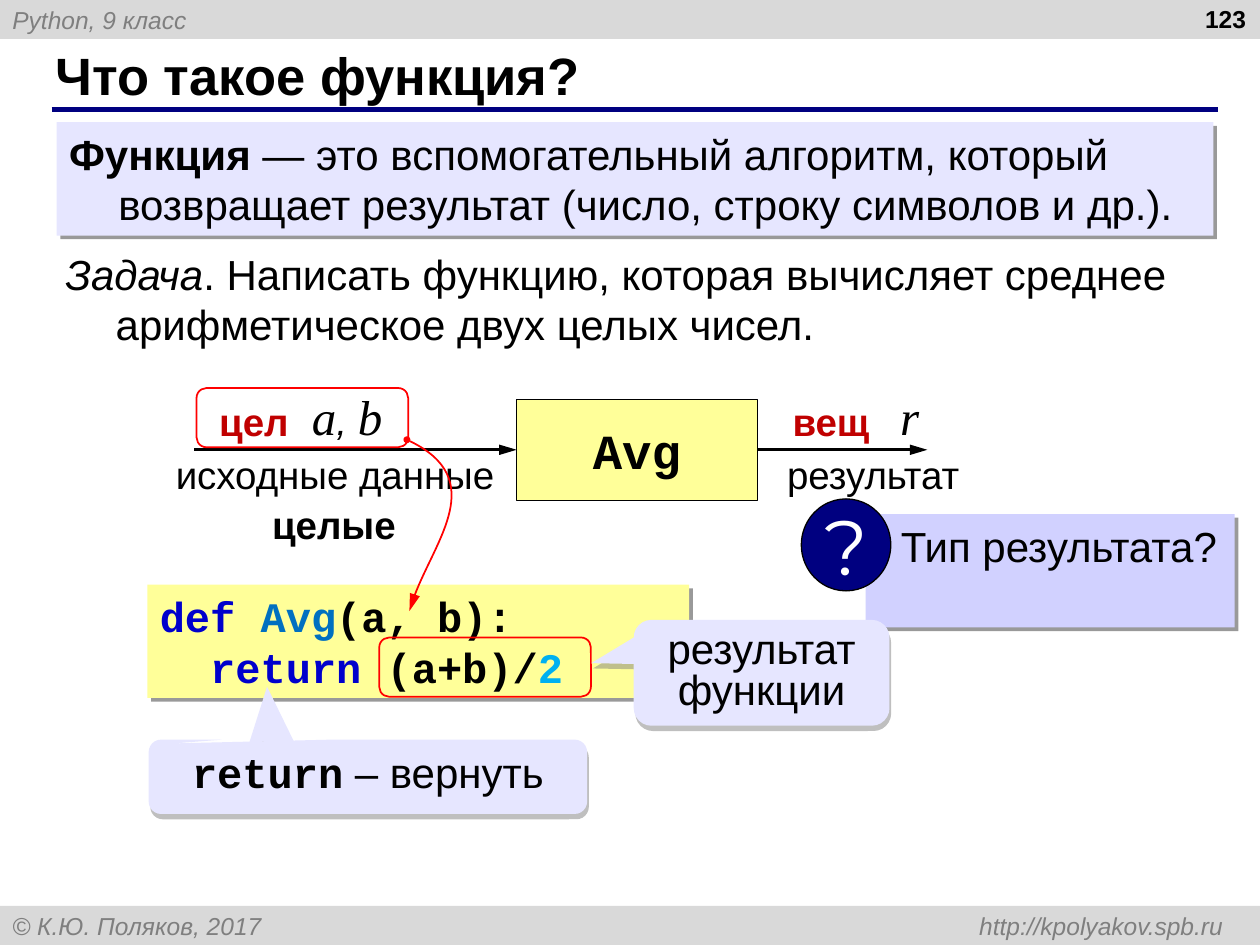
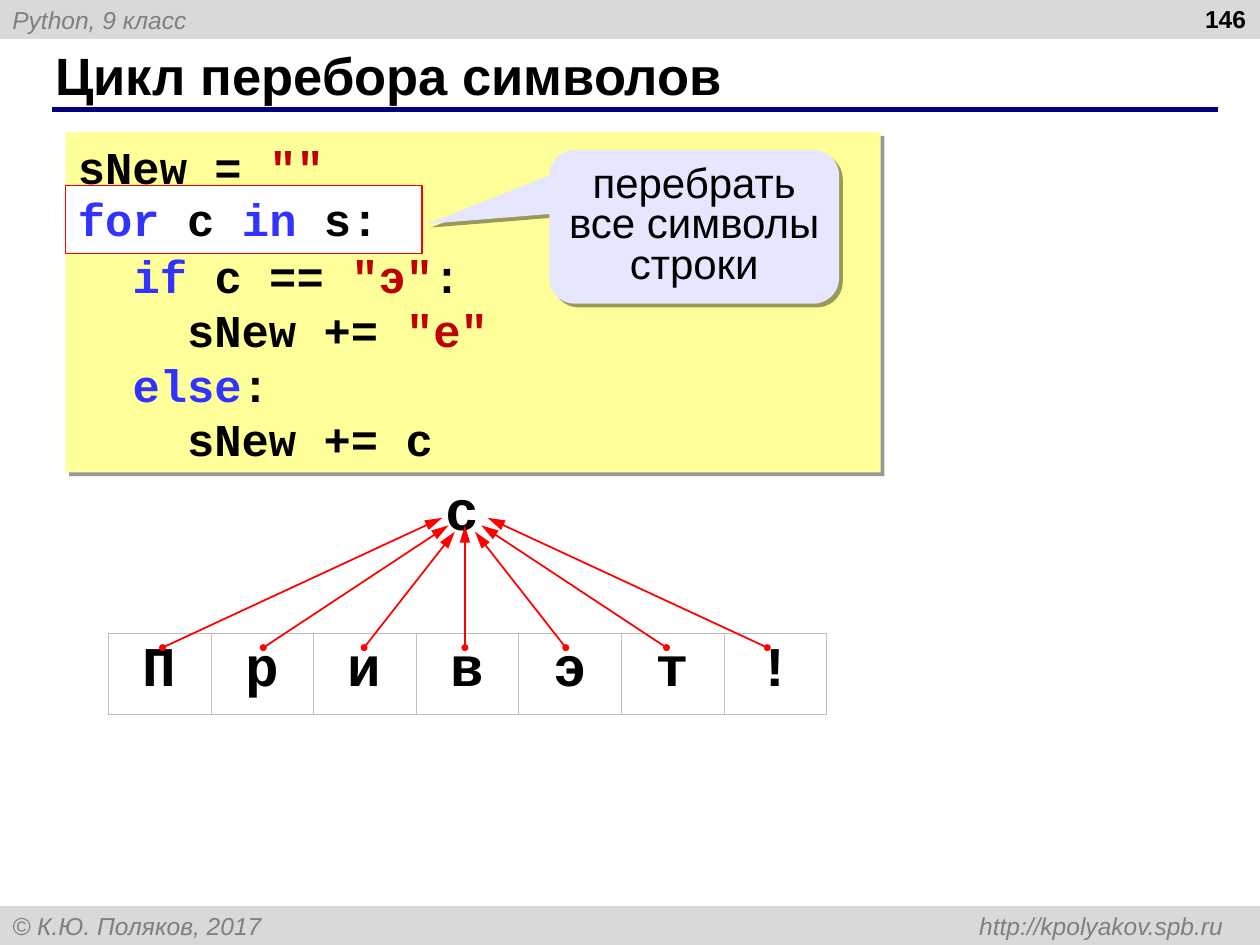
import pptx
import pptx.util
import pptx.dml.color
import pptx.enum.shapes
import pptx.enum.text
import pptx.oxml
import pptx.oxml.ns

PX = 9144  # EMU in one px, 100 px to the inch
SHAPE = pptx.enum.shapes.MSO_SHAPE
ALIGN = pptx.enum.text.PP_ALIGN
ANCHOR = pptx.enum.text.MSO_ANCHOR
SANS, MONO, SERIF = "Arial", "Courier New", "Times New Roman"

COLORS = {
    "black": "000000", "white": "FFFFFF", "band": "D9D9D9", "footer": "7F7F7F",
    "navy": "000080", "lilac": "E6E6FF", "question": "D1D1FF", "code": "FFFF99",
    "red": "FF0000", "type": "C00000", "keyword": "0000CC", "loop": "3333FF",
    "name": "0070C0", "number": "00B0F0", "grid": "BFBFBF", "gray": "808080",
}
# colour, opacity %, distance pt, angle
BOX_SHADOW = ("black", 40, 3, 45)
CALLOUT_SHADOW = ("gray", 50, 3.2, 72)


def emu(*lengths):
    return [pptx.util.Emu(round(n * PX)) for n in lengths]


def rgb(name):
    return pptx.dml.color.RGBColor.from_string(COLORS[name])


def add_xml(parent, xml):
    tag, rest = xml.split(" ", 1)
    ns = pptx.oxml.ns.nsdecls("a")
    el = pptx.oxml.parse_xml(f"<{tag} {ns} {rest}")
    parent.append(el)
    return el


def set_font(font, size=None, name=None, color=None, bold=None, italic=None):
    if size:
        font.size = pptx.util.Pt(size)
    if name:
        font.name = name
    if color:
        font.color.rgb = rgb(color)
    if bold is not None:
        font.bold = bold
    if italic is not None:
        font.italic = italic


class Deck:
    def __init__(self):
        self.prs = pptx.Presentation()
        self.prs.slide_width, self.prs.slide_height = emu(1000, 750)
        self.s = None

    def slide(self, title, number):
        """Start a slide with the bands, title, rule and number all slides share."""
        self.s = self.prs.slides.add_slide(self.prs.slide_layouts[5])
        small = dict(size=14, color="footer", italic=True)
        self.box(0, 0, 1000, 31, "band", ["Python, 9 класс"], **small)
        self.box(0, 719, 1000, 31, "band",
                 ["© К.Ю. Поляков, 2017\thttp://kpolyakov.spb.ru"], tab=961, **small)
        self.line(41, 87, 967, 87, "navy", 3)
        sp = self.s.shapes.title
        sp.left, sp.top, sp.width, sp.height = emu(34, 33, 916, 52)
        self.text(sp.text_frame, [title], size=30, bold=True)
        self.label(766, 3, 223, 30, [number], size=14, bold=True, align=ALIGN.RIGHT)

    def text(self, tf, lines, size=24, name=SANS, color="black", bold=False, italic=False,
             align=ALIGN.LEFT, anchor=ANCHOR.MIDDLE, insets=(10, 5, 10, 5),
             hang=0, tab=0, spacing=None):
        """Fill a frame; a line is a string or a list of strings and (string, font) runs."""
        tf.word_wrap = True
        tf.auto_size = pptx.enum.text.MSO_AUTO_SIZE.NONE
        tf.vertical_anchor = anchor
        tf.margin_left, tf.margin_top, tf.margin_right, tf.margin_bottom = emu(*insets)
        for i, line in enumerate(lines):
            p = tf.paragraphs[0] if i == 0 else tf.add_paragraph()
            p.alignment = align
            if spacing:
                p.line_spacing = spacing
            pPr = p._p.get_or_add_pPr()
            if hang:
                pPr.set("marL", str(hang * PX))
                pPr.set("indent", str(-hang * PX))
            if tab:
                add_xml(pPr, f'a:tabLst ><a:tab pos="{tab * PX}" algn="r"/></a:tabLst>')
            set_font(p.font, size, name, color, bold, italic)
            for run in [line] if isinstance(line, str) else line:
                words, look = (run, {}) if isinstance(run, str) else run
                r = p.add_run()
                r.text = words
                set_font(r.font, **look)

    def style(self, sp, fill=None, line=None, width=1.0, shadow=None):
        sp.shadow.inherit = False
        if fill:
            sp.fill.solid()
            sp.fill.fore_color.rgb = rgb(fill)
        else:
            sp.fill.background()
        if line:
            sp.line.color.rgb = rgb(line)
            sp.line.width = pptx.util.Pt(width)
        else:
            sp.line.fill.background()
        if shadow:
            color, opacity, dist, angle = shadow
            effects = sp._element.spPr.find(pptx.oxml.ns.qn("a:effectLst"))
            add_xml(effects, f'a:outerShdw dist="{round(dist * 12700)}" dir="{angle * 60000}" '
                    f'algn="ctr" rotWithShape="0"><a:srgbClr val="{COLORS[color]}">'
                    f'<a:alpha val="{opacity * 1000}"/></a:srgbClr></a:outerShdw>')

    def box(self, x, y, w, h, fill=None, lines=(), kind=SHAPE.RECTANGLE, adj=(),
            line=None, width=1.0, shadow=None, **look):
        sp = self.s.shapes.add_shape(kind, *emu(x, y, w, h))
        for i, value in enumerate(adj):
            sp.adjustments[i] = value
        self.style(sp, fill, line, width, shadow)
        if lines:
            self.text(sp.text_frame, lines, **look)

    def callout(self, x, y, w, h, lines, tip, shadow=CALLOUT_SHADOW):
        self.box(x, y, w, h, "lilac", lines, SHAPE.ROUNDED_RECTANGULAR_CALLOUT,
                 (*tip, 0.167), shadow=shadow, insets=(5, 5, 5, 5),
                 align=ALIGN.CENTER, spacing=0.8)

    def frame(self, x, y):
        """Red rounded outline around a marked expression."""
        self.box(x, y, 168, 47, kind=SHAPE.ROUNDED_RECTANGLE, line="red")

    def label(self, x, y, w, h, lines, align=ALIGN.CENTER, **look):
        tf = self.s.shapes.add_textbox(*emu(x, y, w, h)).text_frame
        self.text(tf, lines, align=align, anchor=ANCHOR.TOP, insets=(0, 0, 0, 0), **look)

    def ends(self, sp, dot):
        ln = sp.line._get_or_add_ln()
        if dot:
            add_xml(ln, 'a:headEnd type="oval" w="sm" len="sm"/>')
        add_xml(ln, 'a:tailEnd type="triangle" w="med" len="lg"/>')

    def line(self, x1, y1, x2, y2, color, width=1.0, arrow=False, dot=False):
        sp = self.s.shapes.add_connector(
            pptx.enum.shapes.MSO_CONNECTOR.STRAIGHT, *emu(x1, y1, x2, y2))
        sp.line.color.rgb = rgb(color)
        sp.line.width = pptx.util.Pt(width)
        add_xml(sp._element.spPr, "a:effectLst />")
        if arrow:
            self.ends(sp, dot)

    def outline(self, points, close):
        builder = self.s.shapes.build_freeform(*points[0], scale=PX)
        builder.add_line_segments(points[1:], close=close)
        return builder.convert_to_shape()

    def curved_arrow(self, points):
        """Bezier arrow: start, two control points, end."""
        sp = self.outline(points, close=False)
        segments = list(sp._element.iter(pptx.oxml.ns.qn("a:lnTo")))
        curve = add_xml(segments[0].getparent(), "a:cubicBezTo />")
        for segment in segments:
            curve.append(segment[0])
            segment.getparent().remove(segment)
        self.style(sp, line="red")
        self.ends(sp, dot=True)

    def letters(self, x, y, w, h, word):
        """One-row table with a letter in each cell."""
        n = len(word)
        table = self.s.shapes.add_table(1, n, *emu(x, y, w, h)).table
        table.first_row = table.horz_banding = False
        for i, letter in enumerate(word):
            table.columns[i].width = emu(w / n)[0]
            cell = table.cell(0, i)
            tcPr = cell._tc.get_or_add_tcPr()
            for side in "LRTB":
                add_xml(tcPr, f'a:ln{side} w="5715"><a:solidFill><a:srgbClr '
                        f'val="{COLORS["grid"]}"/></a:solidFill></a:ln{side}>')
            cell.fill.background()
            p = cell.text_frame.paragraphs[0]
            p.text = letter
            p.alignment = ALIGN.CENTER
            set_font(p.font, 32, MONO, "black", True)


def function_slide(d):
    d.slide("Что такое функция?", "123")
    d.box(45, 97, 918, 90, "lilac",
          [[("Функция", dict(bold=True)), " — это вспомогательный алгоритм, который "
            "возвращает результат (число, строку символов и др.)."]],
          shadow=BOX_SHADOW, hang=39)
    d.box(42, 192, 927, 90, None,
          [[("Задача", dict(italic=True)), ". Написать функцию, которая вычисляет "
            "среднее арифметическое двух целых чисел."]], hang=40)

    d.box(410, 317, 191, 80, "code", ["Avg"], line="black", width=0.25,
          size=28, name=MONO, bold=True, align=ALIGN.CENTER)
    for x1, x2 in ((154, 410), (601, 736)):
        d.line(x1, 357, x2, 357, "black", 1.5, arrow=True)
    variable = dict(size=28, name=SERIF, italic=True)
    d.label(204, 307, 143, 53, [["a", (", ", dict(size=22, name=SANS)), "b"]], **variable)
    d.label(685, 307, 74, 53, ["r"], **variable)
    d.label(133, 358, 266, 53, ["исходные данные"], size=22)
    d.label(604, 358, 178, 53, ["результат"], size=22)
    d.label(206, 398, 118, 42, ["целые"], size=22, bold=True)
    for x, w, word in ((164, 75, "цел"), (619, 81, "вещ")):
        d.label(x, 316, w, 42, [word], size=22, bold=True, color="type")

    d.box(687, 408, 293, 90, "question", ["Тип результата?"], shadow=BOX_SHADOW,
          anchor=ANCHOR.TOP, insets=(28, 5, 5, 5))
    d.box(636, 396, 71, 73, "navy", ["?"], SHAPE.OVAL, line="black", width=0.75, size=44,
          name="Montserrat", color="white", align=ALIGN.CENTER, insets=(0, 5, 0, 5))

    keyword = dict(color="keyword")
    d.box(117, 464, 430, 90, "code",
          [[("def ", keyword), ("Avg", dict(color="name")), "(a, b):"],
           ["  ", ("return", keyword), " (a+b)/", ("2", dict(color="number"))]],
          shadow=BOX_SHADOW, name=MONO, bold=True)
    d.frame(156, 308)
    d.curved_arrow([(323, 349), (389, 379), (338, 438), (325, 485)])
    pointer = d.outline([(233, 588), (212, 545), (198, 589)], close=True)
    d.style(pointer, "lilac", shadow=CALLOUT_SHADOW)
    d.callout(118, 587, 348, 59,
              [[("return", dict(name=MONO, bold=True)), " – вернуть"]], (-0.442, -0.449))
    d.frame(301, 506)
    d.callout(503, 492, 203, 84, ["результат функции"], (-0.666, -0.091))


def loop_slide(d):
    d.slide("Цикл перебора символов", "146")
    loop, string = dict(color="loop"), dict(color="type")
    code = dict(size=26, name=MONO, bold=True)
    header = [("for", loop), " c ", ("in", loop), " s:"]
    d.box(52, 105, 647, 270, "code",
          [["sNew = ", ('""', string)],
           header,
           ["  ", ("if", loop), " c == ", ('"э"', string), ":"],
           ["    sNew += ", ('"е"', string)],
           ["  ", ("else", loop), ":"],
           "    sNew += c"], shadow=BOX_SHADOW, **code)
    d.callout(436, 119, 230, 122, ["перебрать все символы строки"], (-0.921, -0.019),
              BOX_SHADOW)
    d.box(52, 147, 283, 54, "white", [header], line="red", width=0.75,
          anchor=ANCHOR.TOP, **code)

    d.letters(86, 503, 570, 64, "Привэт!")
    d.label(344, 377, 46, 54, ["c"], size=32, name=MONO, bold=True)
    center = 369
    tips = [(0, 417), (8, 422), (13, 417), (18, 411)]  # by distance from the middle letter
    for i in range(-3, 4):
        dx, y = tips[abs(i)]
        d.line(center + 80 * i, 514, center + (dx if i > 0 else -dx), y, "red",
               arrow=True, dot=True)


def main():
    d = Deck()
    function_slide(d)
    loop_slide(d)
    d.prs.save("out.pptx")


if __name__ == "__main__":
    main()
